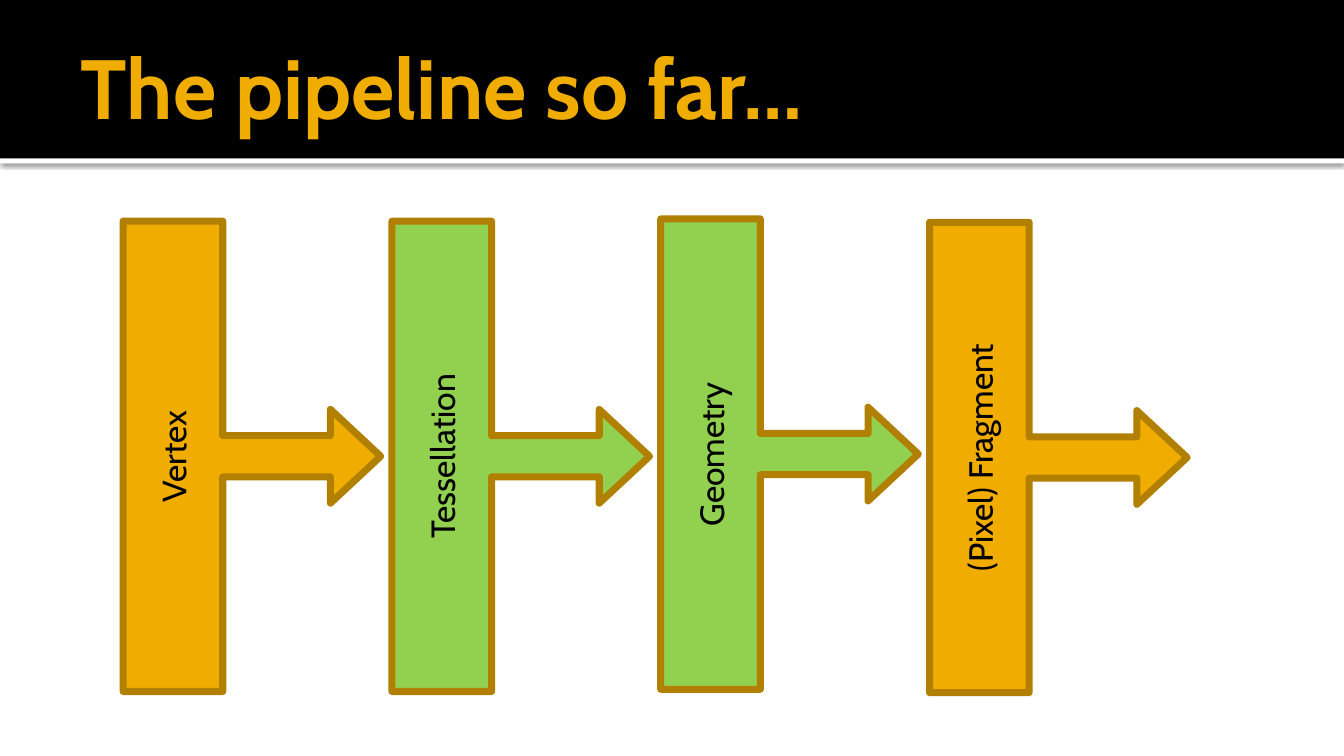
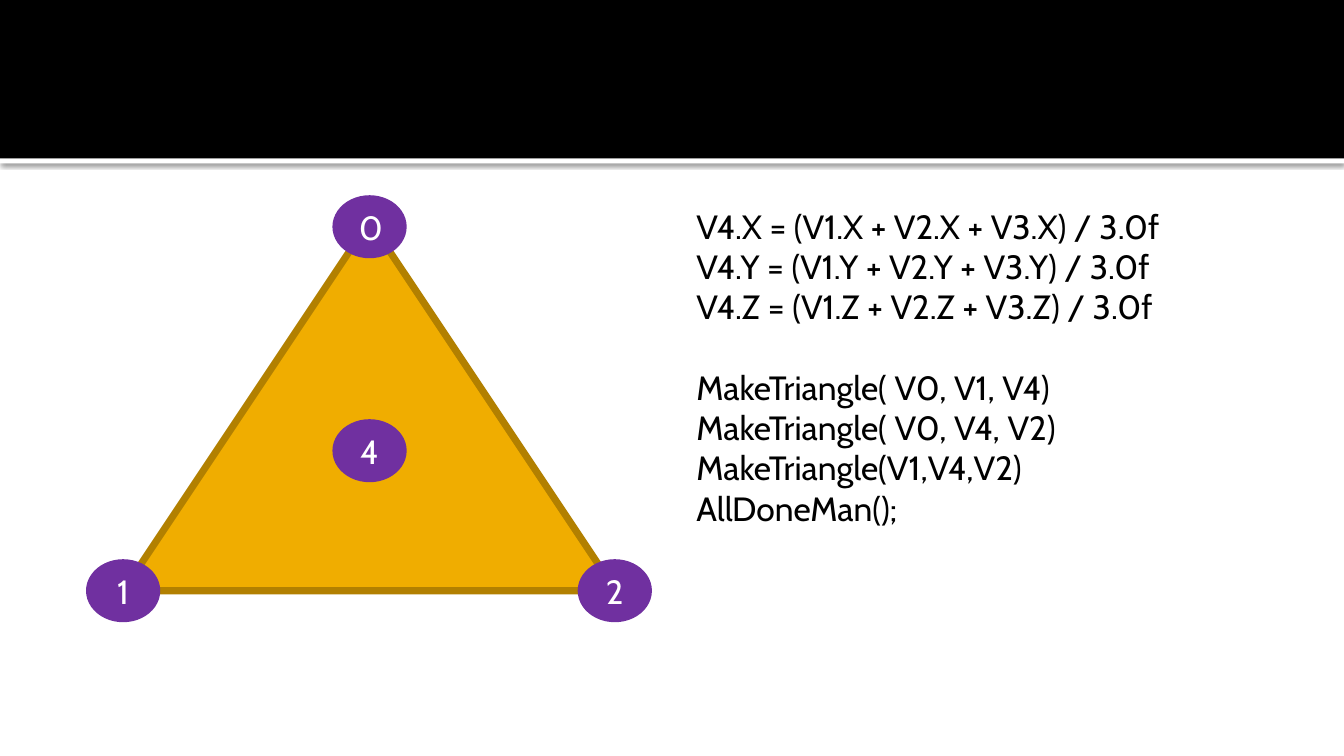
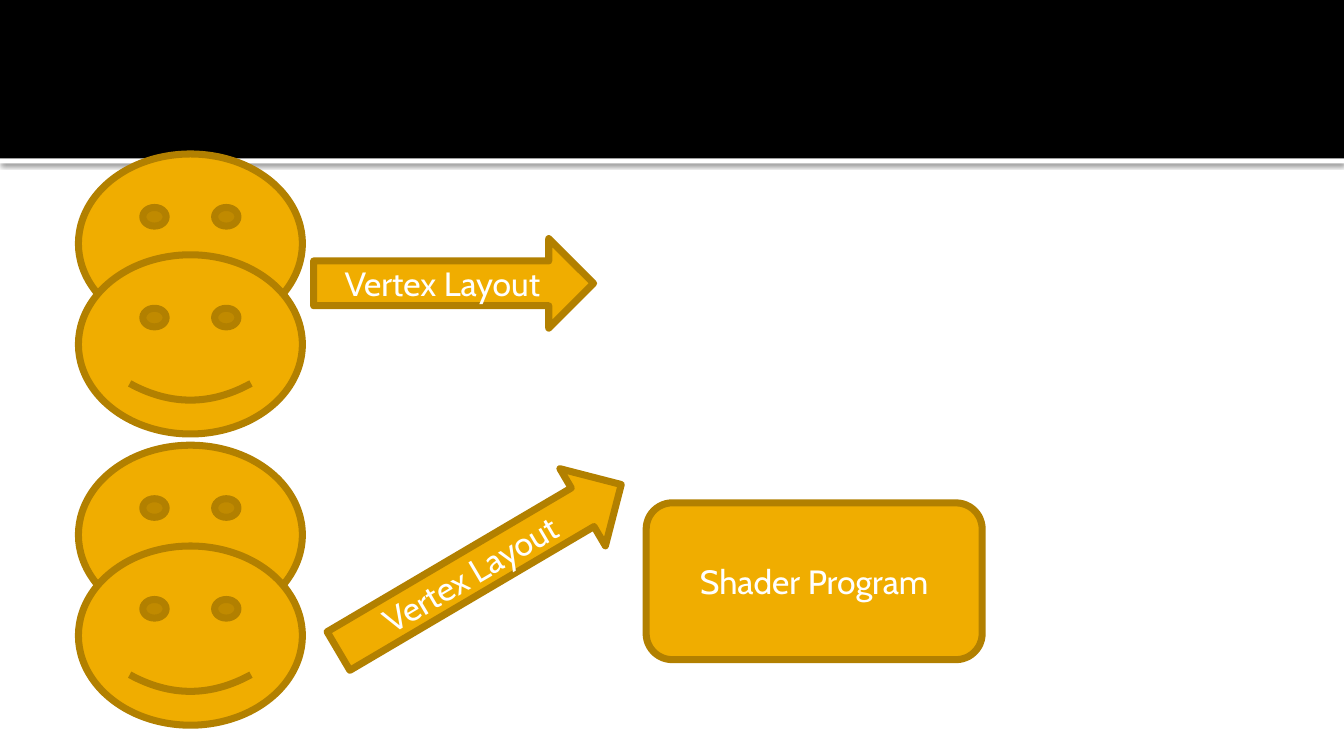
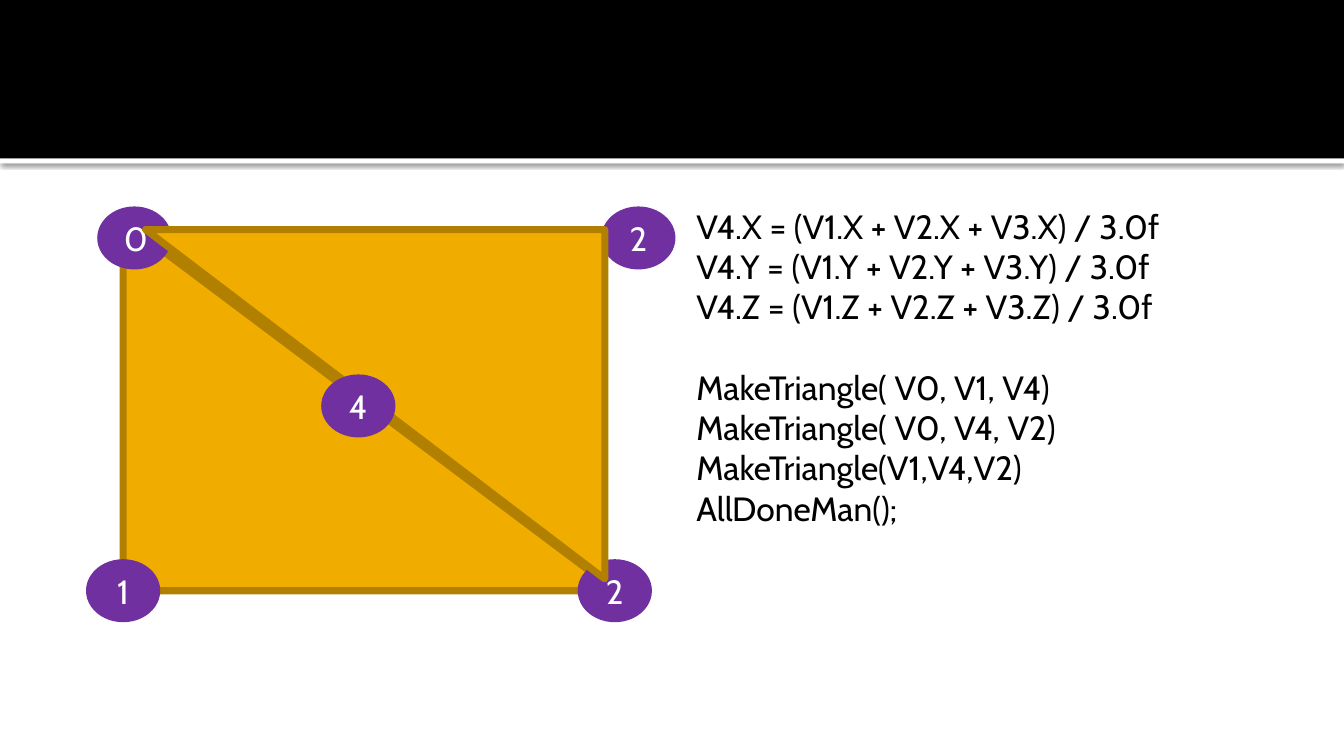
from dataclasses import dataclass

from lxml.etree import SubElement
from pptx import Presentation
from pptx.dml.color import RGBColor
from pptx.enum.shapes import MSO_SHAPE
from pptx.enum.text import MSO_ANCHOR, MSO_AUTO_SIZE, PP_ALIGN
from pptx.oxml.ns import qn
from pptx.util import Inches, Pt


@dataclass(frozen=True)
class Theme:
    font: str = "Cabin"
    black: str = "000000"
    white: str = "FFFFFF"
    gold: str = "F0AD00"
    outline: str = "B28000"
    green: str = "92D050"
    purple: str = "7030A0"
    title_size: float = 45
    body_size: float = 18
    code_gap: float = 21.6
    line_width: float = 3.78


THEME = Theme()
UNIT = 1 / 12
COLS = 120
BAND_ROWS = 14.15
TITLE_ONLY, BLANK = 5, 6
CODE = (
    (
        "V4.X = (V1.X + V2.X + V3.X) / 3.0f",
        "V4.Y = (V1.Y + V2.Y + V3.Y) / 3.0f",
        "V4.Z = (V1.Z + V2.Z + V3.Z) / 3.0f",
    ),
    (
        "MakeTriangle( V0, V1, V4)",
        "MakeTriangle( V0, V4, V2)",
        "MakeTriangle(V1,V4,V2)",
        "AllDoneMan();",
    ),
)


def grid(*cells):
    return [Inches(c * UNIT) for c in cells]


def add_run(p, text, color, size=THEME.body_size, bold=False):
    r = p.add_run()
    r.text = text
    r.font.name = THEME.font
    r.font.size = Pt(size)
    r.font.bold = bold
    r.font.color.rgb = RGBColor.from_string(color)


def add_block(s, kind, cells, fill=THEME.gold, line=THEME.outline,
              text="", color=THEME.white, adj=(), rot=0):
    sp = s.shapes.add_shape(kind, *grid(*cells))
    sp.fill.solid()
    sp.fill.fore_color.rgb = RGBColor.from_string(fill)
    if line:
        sp.line.color.rgb = RGBColor.from_string(line)
        sp.line.width = Pt(THEME.line_width)
    else:
        sp.line.fill.background()
    sp.shadow.inherit = False
    sp.rotation = rot
    for i, value in enumerate(adj):
        sp.adjustments[i] = value
    if text:
        tf = sp.text_frame
        tf.vertical_anchor = MSO_ANCHOR.MIDDLE
        p = tf.paragraphs[0]
        p.alignment = PP_ALIGN.CENTER
        add_run(p, text, color)
    return sp


def add_shadow(sp):
    effects = sp._element.spPr.find(qn("a:effectLst"))
    shadow = SubElement(effects, qn("a:outerShdw"), blurRad=str(Pt(2.5)),
                        dist=str(Pt(0.8)), dir="5400000", rotWithShape="0")
    tone = SubElement(shadow, qn("a:srgbClr"), val=THEME.black)
    SubElement(tone, qn("a:alpha"), val="60000")


def add_master_band(prs, s):
    strip = add_block(s, MSO_SHAPE.RECTANGLE, (0, BAND_ROWS, COLS, 0.45), THEME.white, None)
    add_shadow(strip)
    band = add_block(s, MSO_SHAPE.RECTANGLE, (0, 0, COLS, BAND_ROWS), THEME.black, None)
    tree = prs.slide_master.shapes._spTree
    for i, sp in enumerate((strip, band)):
        tree.insert(2 + i, sp._element)


def set_title(s, text):
    sp = s.shapes.title
    sp.left, sp.top, sp.width, sp.height = grid(6, 1.5, 108, 12.4)
    tf = sp.text_frame
    tf.margin_left = Inches(0.1)
    tf.margin_top = tf.margin_right = tf.margin_bottom = Inches(0.05)
    tf.vertical_anchor = MSO_ANCHOR.MIDDLE
    p = tf.paragraphs[0]
    p.alignment = PP_ALIGN.LEFT
    add_run(p, text, THEME.gold, THEME.title_size, True)


def add_stage(s, col, row, text, fill):
    sp = add_block(s, MSO_SHAPE.RIGHT_ARROW_CALLOUT, (col, row, 23, 42), fill,
                   text=text, color=THEME.black, adj=(0.16, 0.182, 0.195, 0.387))
    sp.text_frame._txBody.bodyPr.set("vert", "vert270")


def add_vertex(s, text, x, y):
    w, h = 6, 5
    add_block(s, MSO_SHAPE.OVAL, (x - w / 2, y - h / 2, w, h),
              THEME.purple, THEME.purple, text)


def add_code(s):
    tf = s.shapes.add_textbox(*grid(61, 17.75, 60, 34)).text_frame
    tf.word_wrap = True
    tf.auto_size = MSO_AUTO_SIZE.SHAPE_TO_FIT_TEXT
    p = tf.paragraphs[0]
    for g, group in enumerate(CODE):
        for i, text in enumerate(group):
            if g or i:
                p = tf.add_paragraph()
            if g and not i:
                p.space_before = Pt(THEME.code_gap)
            add_run(p, text, THEME.black)


def add_smiley_pair(s, row):
    for step in range(2):
        add_block(s, MSO_SHAPE.SMILEY_FACE, (7, row + 9 * step, 20, 16))


def pipeline_slide(s):
    set_title(s, "The pipeline so far…")
    stages = (
        ("Vertex", THEME.gold, 19.75),
        ("Tessellation", THEME.green, 19.75),
        ("Geometry", THEME.green, 19.55),
        ("(Pixel) Fragment", THEME.gold, 19.85),
    )
    for i, (text, fill, row) in enumerate(stages):
        add_stage(s, 11 + 24 * i, row, text, fill)


def triangle_slide(s):
    add_block(s, MSO_SHAPE.ISOSCELES_TRIANGLE, (11, 19.75, 44, 33))
    for vertex in (("0", 33, 20.25), ("1", 11, 52.75), ("2", 54.9, 52.75), ("4", 33, 40.25)):
        add_vertex(s, *vertex)
    add_code(s)


def layout_slide(s):
    add_smiley_pair(s, 13.75)
    add_block(s, MSO_SHAPE.RIGHT_ARROW, (28, 21.3, 25, 8), text="Vertex Layout")
    add_block(s, MSO_SHAPE.ROUNDED_RECTANGLE, (57.7, 44.9, 30, 14), text="Shader Program")
    add_smiley_pair(s, 39.75)
    add_block(s, MSO_SHAPE.RIGHT_ARROW, (28.2, 46.7, 29.3, 8),
              text="Vertex Layout", rot=329.5)


def quad_slide(s):
    add_block(s, MSO_SHAPE.ISOSCELES_TRIANGLE, (11, 19.75, 44, 33), adj=(0,))
    for vertex in (("0", 12, 21.25), ("1", 11, 52.75), ("2", 54.9, 52.75)):
        add_vertex(s, *vertex)
    add_code(s)
    add_vertex(s, "2", 57, 21.25)
    add_block(s, MSO_SHAPE.ISOSCELES_TRIANGLE, (13, 20.5, 41, 31.2), adj=(0,), rot=180)
    add_vertex(s, "4", 32, 36.25)


def main():
    prs = Presentation()
    prs.slide_width = Inches(10)
    prs.slide_height = prs.slide_width * 9 // 16
    builders = (
        (TITLE_ONLY, pipeline_slide),
        (BLANK, triangle_slide),
        (BLANK, layout_slide),
        (BLANK, quad_slide),
    )
    for i, (layout, build) in enumerate(builders):
        s = prs.slides.add_slide(prs.slide_layouts[layout])
        if i == 0:
            add_master_band(prs, s)
        build(s)
    prs.save("out.pptx")


if __name__ == "__main__":
    main()
